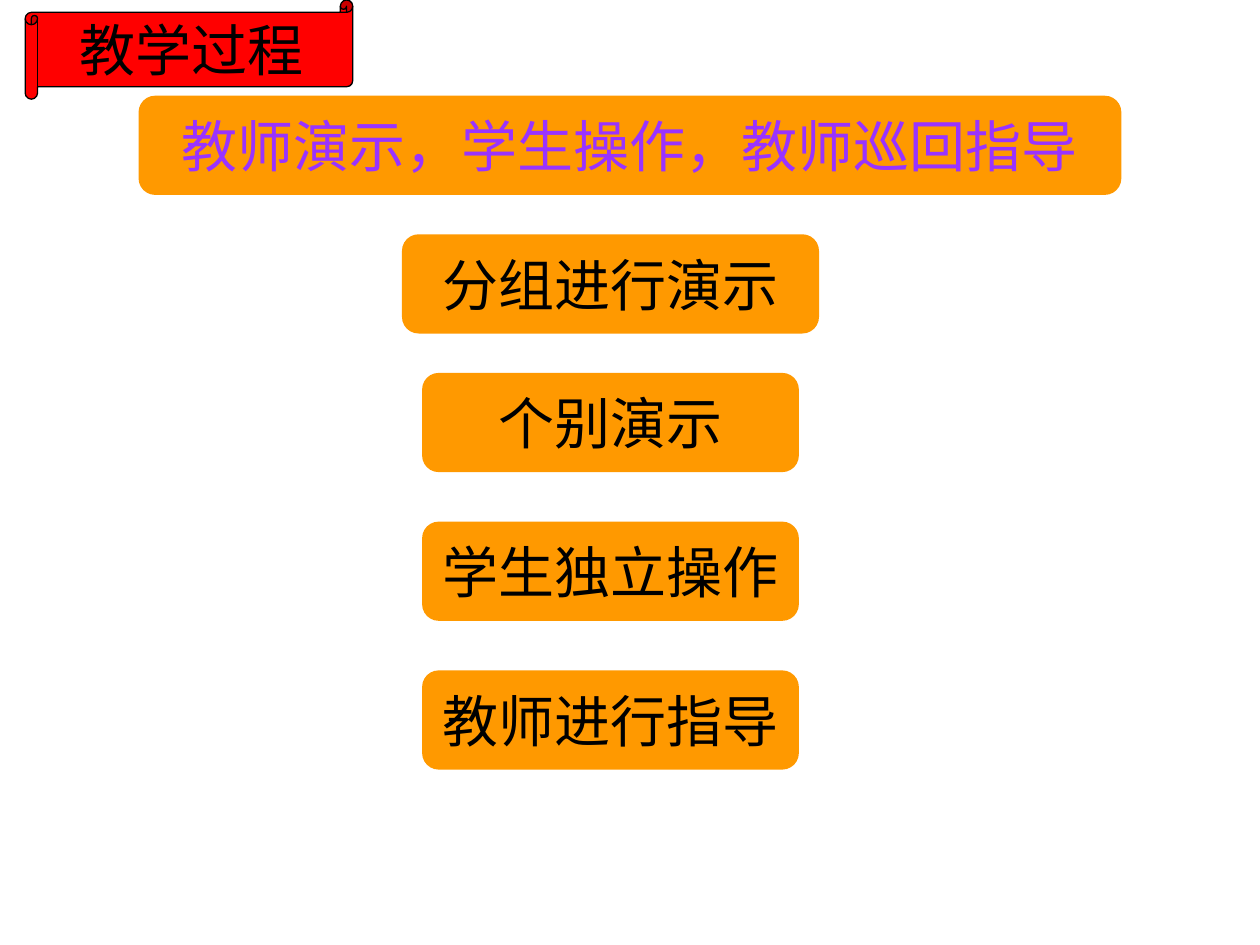
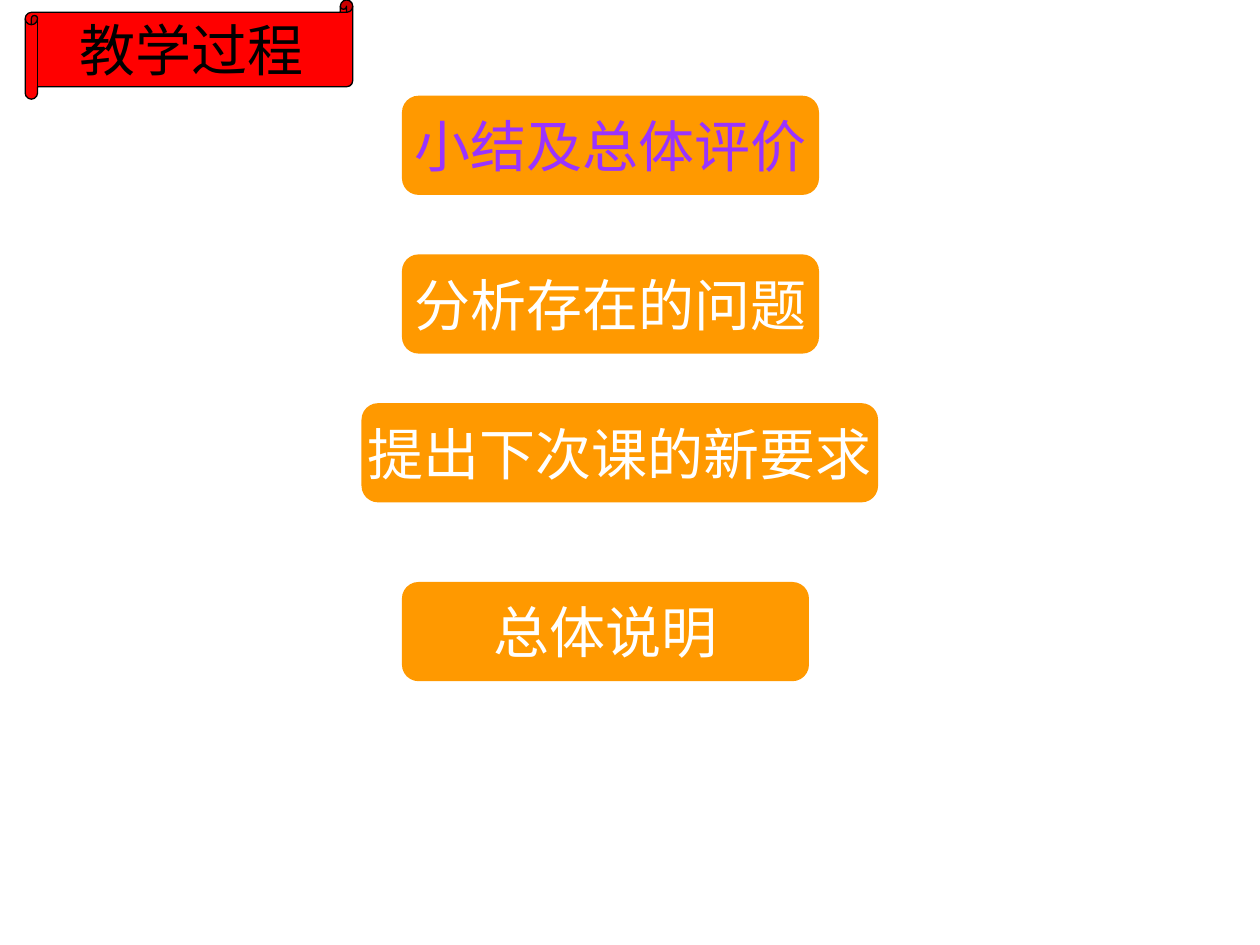
from dataclasses import dataclass
from typing import Optional

from pptx import Presentation
from pptx.dml.color import RGBColor
from pptx.enum.shapes import MSO_SHAPE
from pptx.enum.text import MSO_ANCHOR, PP_ALIGN
from pptx.shapes.autoshape import Shape
from pptx.slide import Slide
from pptx.util import Pt


@dataclass(frozen=True)
class Theme:
    paper: RGBColor = RGBColor(0xFF, 0xFF, 0xFF)
    banner: RGBColor = RGBColor(0xFF, 0x00, 0x00)
    card: RGBColor = RGBColor(0xFF, 0x99, 0x00)
    heading: RGBColor = RGBColor(0x99, 0x33, 0xFF)
    ink: RGBColor = RGBColor(0x00, 0x00, 0x00)
    light: RGBColor = RGBColor(0xFF, 0xFF, 0xFF)
    font: str = "Arial"
    text_size: float = 32
    outline: float = 0.75


@dataclass(frozen=True)
class Card:
    text: str
    left: float
    top: float
    width: float


@dataclass(frozen=True)
class Page:
    heading: Card
    steps: tuple[Card, ...]
    step_color: RGBColor


THEME = Theme()
BOX_HEIGHT = 56.7
CARD_CORNER = 0.167
SCROLL_ROLL = 0.125
HEADING_TOP = 54.7
WIDE_LEFT, WIDE_WIDTH = 229.7, 238.3
STEP_LEFT, STEP_WIDTH = 241.2, 215.3
STEP_TOP, STEP_PITCH = 213.1, 85

BANNER = Card("教学过程", 14.4, 0, 187.2)
PAGES = (
    Page(
        Card("教师演示，学生操作，教师巡回指导", 79.2, HEADING_TOP, 561.6),
        (
            Card("分组进行演示", WIDE_LEFT, 133.9, WIDE_WIDTH),
            *(
                Card(text, STEP_LEFT, STEP_TOP + row * STEP_PITCH, STEP_WIDTH)
                for row, text in enumerate(("个别演示", "学生独立操作", "教师进行指导"))
            ),
        ),
        THEME.ink,
    ),
    Page(
        Card("小结及总体评价", WIDE_LEFT, HEADING_TOP, WIDE_WIDTH),
        (
            Card("分析存在的问题", WIDE_LEFT, 145.4, WIDE_WIDTH),
            Card("提出下次课的新要求", 206.6, 230.4, 295.2),
            Card("总体说明", WIDE_LEFT, 332.6, 232.6),
        ),
        THEME.light,
    ),
)


def write_text(box: Shape, text: str, *, color: RGBColor) -> None:
    frame = box.text_frame
    frame.word_wrap = False
    frame.vertical_anchor = MSO_ANCHOR.MIDDLE
    para = frame.paragraphs[0]
    para.alignment = PP_ALIGN.CENTER
    span = para.add_run()
    span.text = text
    span.font.name = THEME.font
    span.font.size = Pt(THEME.text_size)
    span.font.color.rgb = color


def draw_card(
    slide: Slide,
    card: Card,
    *,
    color: RGBColor,
    kind: MSO_SHAPE = MSO_SHAPE.ROUNDED_RECTANGLE,
    adjustment: float = CARD_CORNER,
    fill: RGBColor = THEME.card,
    line: Optional[RGBColor] = None,
) -> None:
    box = slide.shapes.add_shape(
        kind, Pt(card.left), Pt(card.top), Pt(card.width), Pt(BOX_HEIGHT)
    )
    box.adjustments[0] = adjustment
    box.shadow.inherit = False
    box.fill.solid()
    box.fill.fore_color.rgb = fill
    if line is None:
        box.line.fill.background()
    else:
        box.line.color.rgb = line
        box.line.width = Pt(THEME.outline)
    write_text(box, card.text, color=color)


def draw_page(slide: Slide, page: Page) -> None:
    slide.background.fill.solid()
    slide.background.fill.fore_color.rgb = THEME.paper
    draw_card(
        slide,
        BANNER,
        color=THEME.ink,
        kind=MSO_SHAPE.HORIZONTAL_SCROLL,
        adjustment=SCROLL_ROLL,
        fill=THEME.banner,
        line=THEME.ink,
    )
    draw_card(slide, page.heading, color=THEME.heading)
    for step in page.steps:
        draw_card(slide, step, color=page.step_color)


def main() -> None:
    deck = Presentation()
    deck.slide_width, deck.slide_height = Pt(720), Pt(540)
    for page in PAGES:
        draw_page(deck.slides.add_slide(deck.slide_layouts[6]), page)
    deck.save("out.pptx")


if __name__ == "__main__":
    main()
